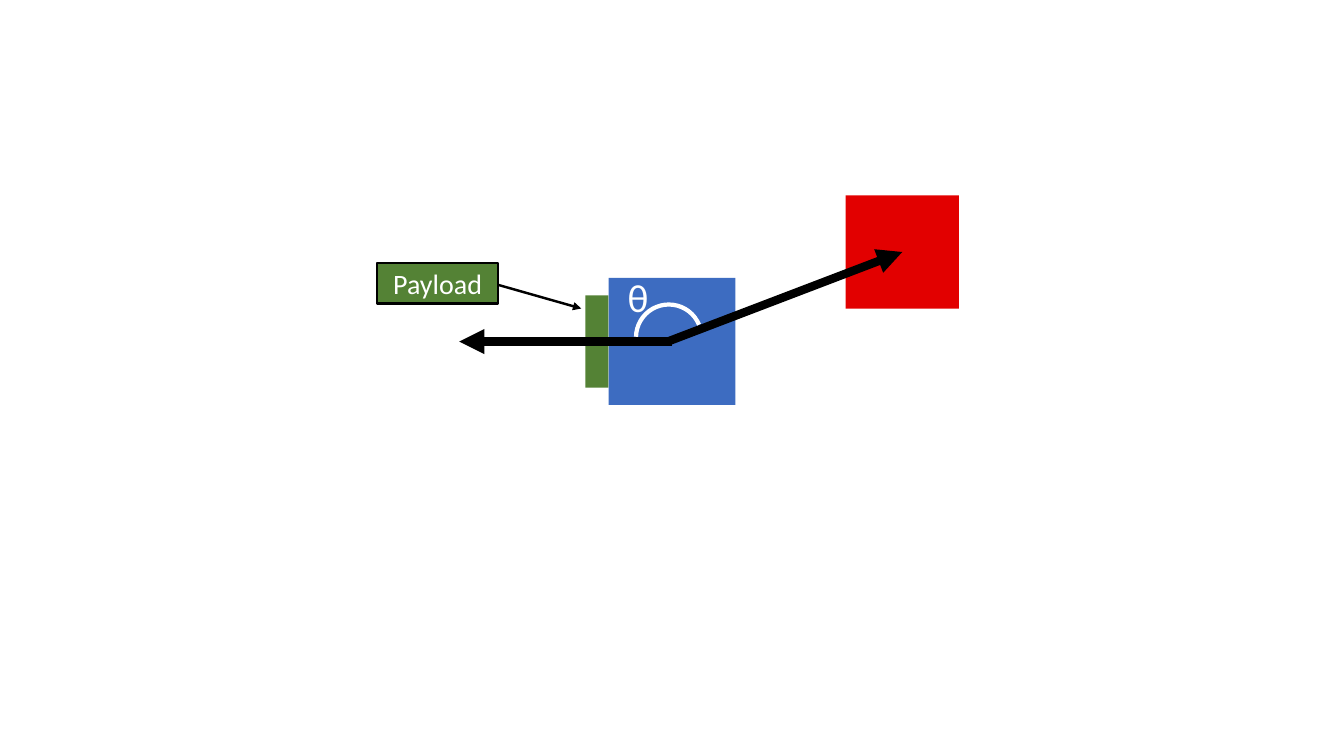
import dataclasses

import lxml.etree
import pptx
import pptx.dml.color
import pptx.enum.shapes
import pptx.enum.text
import pptx.oxml.ns
import pptx.util

Pt = pptx.util.Pt
MSO_SHAPE = pptx.enum.shapes.MSO_SHAPE


@dataclasses.dataclass(frozen=True)
class Theme:
    robot: str = "3D6CC1"
    payload: str = "548235"
    target: str = "E20000"
    ink: str = "000000"
    light: str = "FFFFFF"
    font: str = "Calibri"
    label_size: int = 20
    angle_size: int = 28
    heading_width: float = 6
    arc_width: float = 3
    outline_width: float = 1.75


THEME = Theme()


def rgb(color):
    return pptx.dml.color.RGBColor.from_string(color)


def set_line(line, color, width, arrow=False):
    line.color.rgb = rgb(color)
    line.width = Pt(width)
    if arrow:
        line_xml = line._get_or_add_ln()
        lxml.etree.SubElement(line_xml, pptx.oxml.ns.qn("a:tailEnd"), type="triangle")


def add_preset(slide, preset, box, fill=None):
    shape = slide.shapes.add_shape(preset, *(Pt(length) for length in box))
    shape.shadow.inherit = False
    if fill:
        shape.fill.solid()
        shape.fill.fore_color.rgb = rgb(fill)
    else:
        shape.fill.background()
    shape.line.fill.background()
    return shape


def add_heading(slide, start, end):
    heading = slide.shapes.add_connector(
        pptx.enum.shapes.MSO_CONNECTOR.STRAIGHT, *(Pt(v) for v in (*start, *end)))
    set_line(heading.line, THEME.ink, THEME.heading_width, arrow=True)
    lxml.etree.SubElement(heading._element.spPr, pptx.oxml.ns.qn("a:effectLst"))


def add_words(frame, words, size):
    run = frame.paragraphs[0].add_run()
    run.text = words
    run.font.name = THEME.font
    run.font.size = Pt(size)
    run.font.color.rgb = rgb(THEME.light)


def draw_robot(slide, left, top, side, target_center):
    """Robot with its payload, both headings start at its middle."""
    middle_x, middle_y = left + side / 2, top + side / 2
    add_preset(slide, MSO_SHAPE.RECTANGLE, (left, top, side, side), THEME.robot)

    # Payload on the left side
    depth, height = 16.5, 66
    add_preset(slide, MSO_SHAPE.RECTANGLE,
               (left - depth, middle_y - height / 2, depth, height), THEME.payload)

    # Headings of the payload and towards the target
    add_heading(slide, (middle_x, middle_y), (middle_x - 152, middle_y))
    add_heading(slide, (middle_x - 3, middle_y), target_center)


def draw_target(slide, left, top, side):
    add_preset(slide, MSO_SHAPE.RECTANGLE, (left, top, side, side), THEME.target)


def draw_angle(slide, left, top, side):
    """Arc between the headings, with its symbol at the upper left."""
    arc = add_preset(slide, MSO_SHAPE.ARC, (left, top, side, side))
    # Angles are in units of 5/3 degree
    arc.adjustments[0] = 180.86 * 0.6
    arc.adjustments[1] = 337.38 * 0.6
    set_line(arc.line, THEME.light, THEME.arc_width)

    symbol = slide.shapes.add_textbox(Pt(left - 13), Pt(top - 26), Pt(16.5), Pt(41))
    symbol.text_frame.word_wrap = True
    add_words(symbol.text_frame, "θ", THEME.angle_size)


def draw_payload_label(slide, left, top, width, height):
    label = add_preset(slide, MSO_SHAPE.LINE_CALLOUT_1,
                       (left, top, width, height), THEME.payload)
    # Pointer start and end, as y and x shares of the box
    for index, share in enumerate((0.54, 1.0, 1.125, 1.685)):
        label.adjustments[index] = share
    set_line(label.line, THEME.ink, THEME.outline_width, arrow=True)
    frame = label.text_frame
    frame.vertical_anchor = pptx.enum.text.MSO_ANCHOR.MIDDLE
    frame.paragraphs[0].alignment = pptx.enum.text.PP_ALIGN.CENTER
    add_words(frame, "Payload", THEME.label_size)


def main():
    deck = pptx.Presentation()
    deck.slide_width, deck.slide_height = Pt(960), Pt(540)
    slide = deck.slides.add_slide(deck.slide_layouts[6])

    target_left, target_top, target_side = 604, 139.5, 81
    target_center = (target_left + target_side / 2, target_top + target_side / 2)
    # The target lies below the heading that points at it
    draw_target(slide, target_left, target_top, target_side)
    draw_robot(slide, 434.7, 198.6, 90.7, target_center)
    draw_angle(slide, 454.3, 217.5, 46.8)
    draw_payload_label(slide, 269.3, 188, 86.6, 28.8)
    deck.save("out.pptx")


if __name__ == "__main__":
    main()
